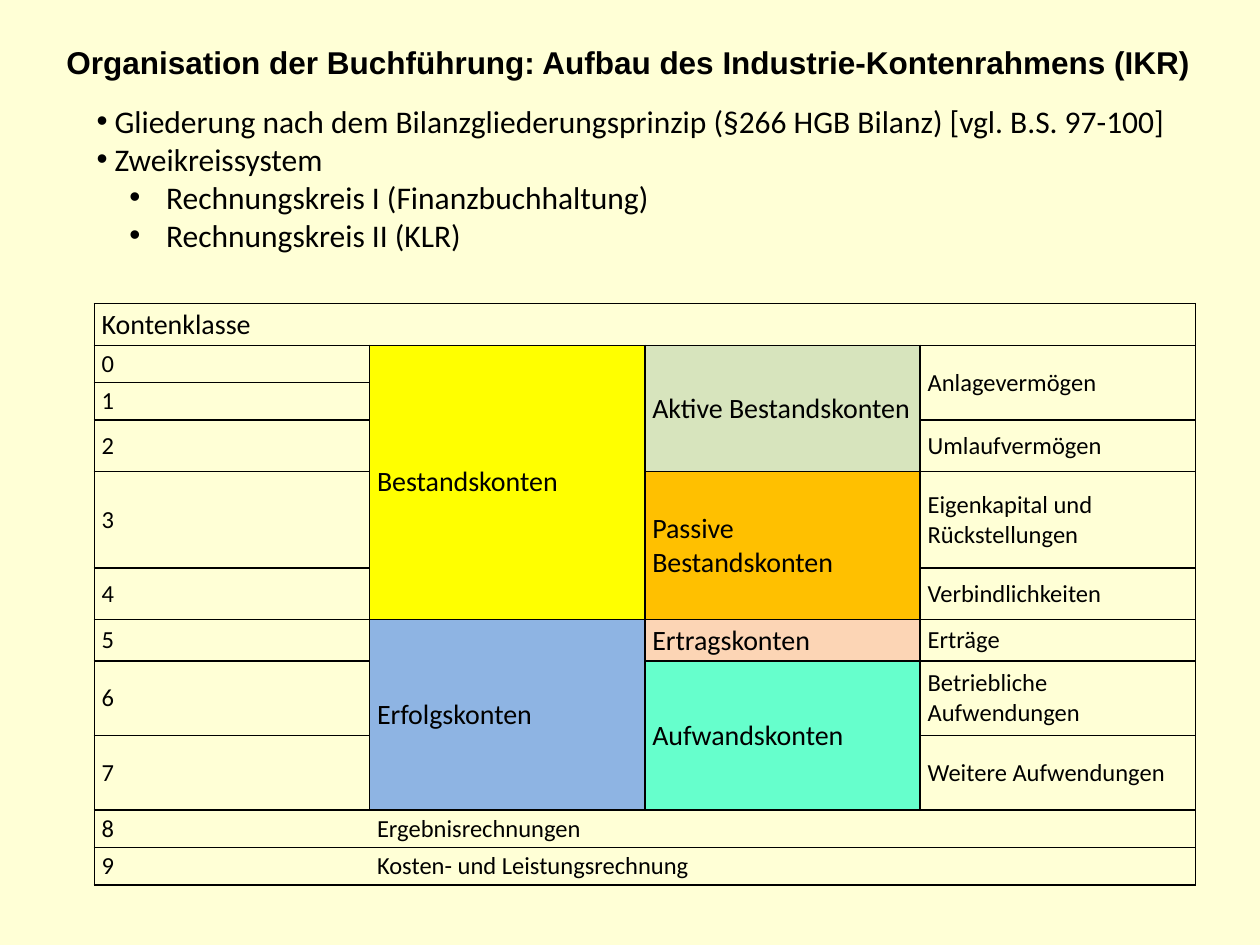
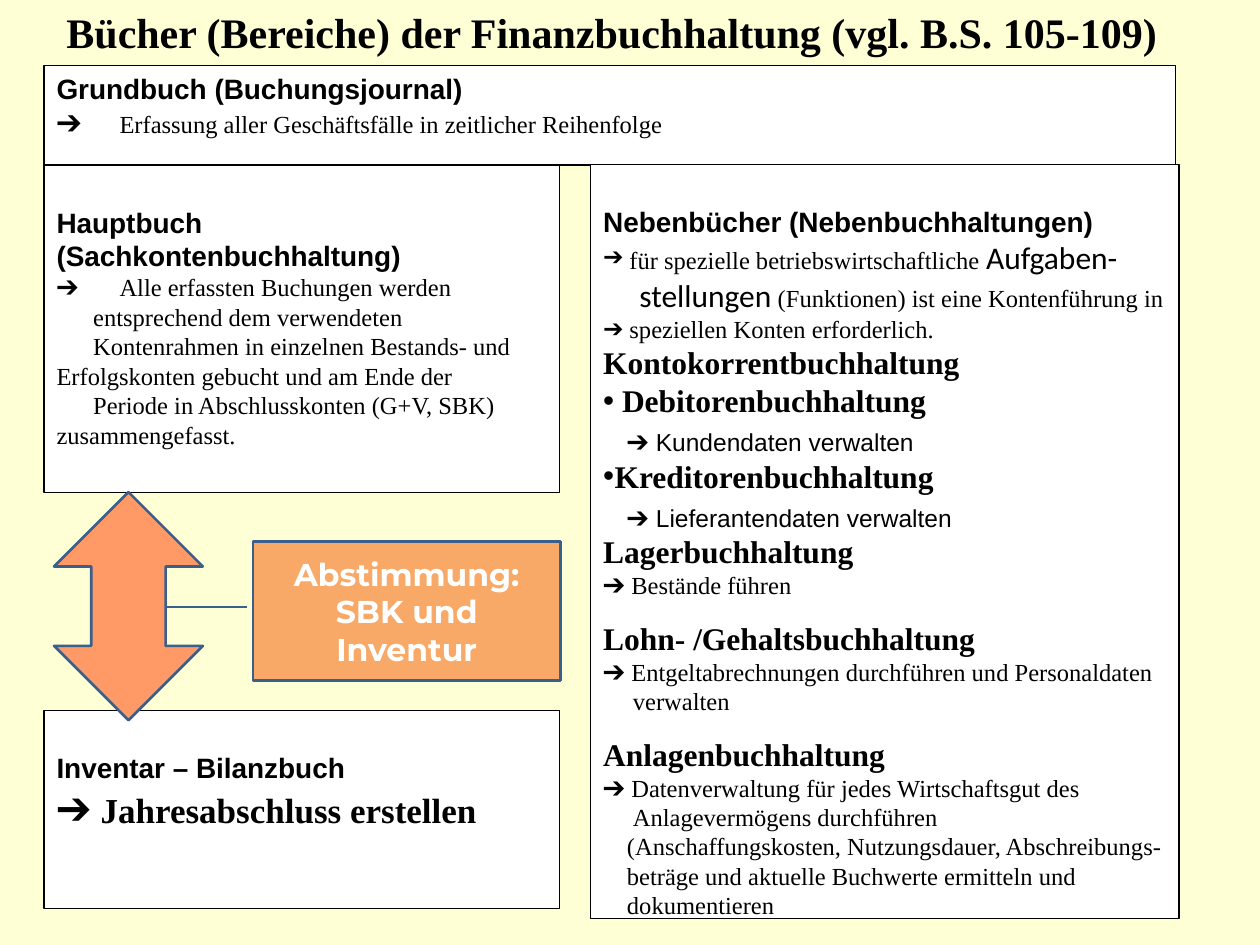
"""Two slides on the chart of accounts and the books of financial accounting."""
import pptx
import pptx.dml.color
import pptx.enum.shapes
import pptx.enum.text
import pptx.oxml.ns
import pptx.util
from lxml import etree

Cm = pptx.util.Cm
Pt = pptx.util.Pt
SHAPE = pptx.enum.shapes.MSO_SHAPE
MIDDLE = pptx.enum.text.MSO_ANCHOR.MIDDLE
CENTER = pptx.enum.text.PP_ALIGN.CENTER
qn = pptx.oxml.ns.qn

INK = {"page": "FFFFD6", "black": "000000", "white": "FFFFFF", "edge": "3A5F8C",
       "arrow": "FF9966", "note": "F8A968", "stock": "FFFF00", "active": "D7E4BD",
       "passive": "FFC000", "result": "8EB4E3", "income": "FCD5B5", "cost": "66FFCC"}
SANS, SERIF, BODY, LABEL = "Arial", "Times New Roman", "Calibri", "Montserrat"


def box(page, at, kind=None, fill="white", edge="black", width=0.75, top=0.13):
    """Add a text box, or a filled shape when a kind is given."""
    place = [Cm(n) for n in at]
    if kind is None:
        item = page.shapes.add_textbox(*place)
    else:
        item = page.shapes.add_shape(kind, *place)
        item.shadow.inherit = False
        item.fill.solid()
        item.fill.fore_color.rgb = pptx.dml.color.RGBColor.from_string(INK[fill])
        item.line.color.rgb = pptx.dml.color.RGBColor.from_string(INK[edge])
        item.line.width = Pt(width)
    frame = item.text_frame
    frame.word_wrap = True
    frame.vertical_anchor = pptx.enum.text.MSO_ANCHOR.TOP
    frame.margin_top = Cm(top)
    return item


def say(frame, runs, left=0, hang=0, mark=None, tab=None, gap=0, ink="black",
        align=pptx.enum.text.PP_ALIGN.LEFT, fixed=True):
    """Add one paragraph made of (text, size, font, bold) runs."""
    para = frame.paragraphs[0]
    if para.runs:
        para = frame.add_paragraph()
    props = para._p.get_or_add_pPr()
    props.set("marL", str(Cm(left)))
    props.set("indent", str(-Cm(hang)))
    if mark:
        etree.SubElement(props, qn("a:buFont"), typeface=SANS)
        etree.SubElement(props, qn("a:buChar"), char=mark)
    else:
        etree.SubElement(props, qn("a:buNone"))
    if tab:
        tabs = etree.SubElement(props, qn("a:tabLst"))
        etree.SubElement(tabs, qn("a:tab"), pos=str(Cm(tab)), algn="l")
    para.alignment = align
    if fixed:
        para.line_spacing = Pt(round(1.2 * max(run[1] for run in runs), 1))
    if gap:
        para.space_before = Pt(gap)
    for text, size, face, bold in runs:
        run = para.add_run()
        run.text = text
        run.font.size = Pt(size)
        run.font.name = face
        run.font.bold = bold
        run.font.color.rgb = pptx.dml.color.RGBColor.from_string(INK[ink])


deck = pptx.Presentation()
deck.slide_width, deck.slide_height = Cm(25.4), Cm(19.05)
pages = [deck.slides.add_slide(deck.slide_layouts[6]) for _ in range(2)]
for page in pages:
    page.background.fill.solid()
    page.background.fill.fore_color.rgb = pptx.dml.color.RGBColor.from_string(INK["page"])
plan, books = pages

points = box(plan, (1.7, 1.93, 22.2, 4)).text_frame
for text, left, hang in [
        ("Gliederung nach dem Bilanzgliederungsprinzip (§266 HGB Bilanz) [vgl. B.S. 97-100]", 0.36, 0.36),
        ("Zweikreissystem", 0.36, 0.36),
        ("Rechnungskreis I (Finanzbuchhaltung)", 1.4, 0.74),
        ("Rechnungskreis II (KLR)", 1.4, 0.74)]:
    say(points, [(text, 18, BODY, False)], left, hang, "•")

rows = [0.84, 0.75, 0.75, 1.04, 1.94, 1.04, 0.84, 1.5, 1.5, 0.75, 0.75]
grid = plan.shapes.add_table(len(rows), 4, Cm(1.9), Cm(6.12), Cm(22.2), Cm(sum(rows))).table
grid.first_row = grid.horz_banding = False
for row, high in zip(grid.rows, rows):
    row.height = Cm(high)
for col in grid.columns:
    col.width = Cm(5.55)

cells = [(0, 0, 1, 4, "Kontenklasse", 16, None)]
cells += [(n + 1, 0, 1, 1, str(n), 14, None) for n in range(10)]
cells += [
    (1, 1, 5, 1, "Bestandskonten", 16, "stock"),
    (6, 1, 3, 1, "Erfolgskonten", 16, "result"),
    (1, 2, 3, 1, "Aktive Bestandskonten", 16, "active"),
    (4, 2, 2, 1, "Passive Bestandskonten", 16, "passive"),
    (6, 2, 1, 1, "Ertragskonten", 16, "income"),
    (7, 2, 2, 1, "Aufwandskonten", 16, "cost"),
    (1, 3, 2, 1, "Anlagevermögen", 14, None),
    (3, 3, 1, 1, "Umlaufvermögen", 14, None),
    (4, 3, 1, 1, "Eigenkapital und Rückstellungen", 14, None),
    (5, 3, 1, 1, "Verbindlichkeiten", 14, None),
    (6, 3, 1, 1, "Erträge", 14, None),
    (7, 3, 1, 1, "Betriebliche Aufwendungen", 14, None),
    (8, 3, 1, 1, "Weitere Aufwendungen", 14, None),
    (9, 1, 1, 3, "Ergebnisrechnungen", 14, None),
    (10, 1, 1, 3, "Kosten- und Leistungsrechnung", 14, None)]

for r in range(len(rows)):
    for c in range(4):
        cell = grid.cell(r, c)
        props = cell._tc.get_or_add_tcPr()
        for side in "LRTB":
            line = etree.SubElement(props, qn("a:ln" + side), w=str(Pt(1)))
            if r > 8 and (c, side) in [(0, "R"), (1, "L")]:
                etree.SubElement(line, qn("a:noFill"))
            else:
                paint = etree.SubElement(line, qn("a:solidFill"))
                etree.SubElement(paint, qn("a:srgbClr"), val=INK["black"])
        cell.fill.background()
        cell.vertical_anchor = MIDDLE
        cell.margin_left = cell.margin_right = Cm(0.15)
        cell.margin_top = cell.margin_bottom = Cm(0.08)

for r, c, down, wide, text, size, fill in cells:
    cell = grid.cell(r, c)
    if down * wide > 1:
        cell.merge(grid.cell(r + down - 1, c + wide - 1))
    if fill:
        cell.fill.solid()
        cell.fill.fore_color.rgb = pptx.dml.color.RGBColor.from_string(INK[fill])
    say(cell.text_frame, [(text, size, BODY, False)], fixed=False)

stock = box(books, (0.89, 14.33, 10.39, 3.99), SHAPE.RECTANGLE, top=0.81).text_frame
say(stock, [("Inventar – Bilanzbuch", 16, SANS, True)])
say(stock, [("➔ ", 22, SERIF, True), ("Jahresabschluss erstellen", 20, SERIF, True)])

daily = box(books, (0.89, 1.32, 22.81, 2.01), SHAPE.RECTANGLE).text_frame
say(daily, [("Grundbuch (Buchungsjournal)", 16, SANS, True)])
say(daily, [("➔\t", 16, SERIF, False),
            ("Erfassung aller Geschäftsfälle in zeitlicher Reihenfolge", 14, SERIF, False)], tab=2.54)

main = box(books, (0.89, 3.33, 10.39, 6.6), SHAPE.RECTANGLE, top=0.81).text_frame
say(main, [("Hauptbuch (Sachkontenbuchhaltung)", 16, SANS, True)])
for text, left in [("➔\tAlle erfassten Buchungen werden", 0),
                   ("entsprechend dem verwendeten", 0.74),
                   ("Kontenrahmen in einzelnen Bestands- und", 0.74),
                   ("Erfolgskonten gebucht und am Ende der", 0),
                   ("Periode in Abschlusskonten (G+V, SBK)", 0.74),
                   ("zusammengefasst.", 0)]:
    say(main, [(text, 14, SERIF, False)], left, tab=2.54)

side = box(books, (11.91, 3.32, 11.86, 15.2), SHAPE.RECTANGLE, top=0.81).text_frame
say(side, [("Nebenbücher (Nebenbuchhaltungen)", 16, SANS, True)])
say(side, [("für spezielle betriebswirtschaftliche ", 14, SERIF, False),
           ("Aufgaben-", 18, BODY, False)], 0.53, 0.53, "➔")
say(side, [("stellungen", 18, BODY, False),
           (" (Funktionen) ist eine Kontenführung in", 14, SERIF, False)], 0.73)
say(side, [("speziellen Konten erforderlich.", 14, SERIF, False)], 0.53, 0.53, "➔")
say(side, [("Kontokorrentbuchhaltung", 18, SERIF, True)])
for head, data, hang in [("Debitorenbuchhaltung", "Kundendaten", 0.38),
                         ("Kreditorenbuchhaltung", "Lieferantendaten", 0.23)]:
    say(side, [(head, 18, SERIF, True)], hang, hang, "•")
    say(side, [("➔", 14, SERIF, False), (f" {data} verwalten", 14, SANS, False)], 0.48)
    side.paragraphs[-1].line_spacing = Pt(21.6)
for head, gap, lines in [
        ("Lagerbuchhaltung", 0, [("➔ Bestände führen", 0)]),
        ("Lohn- /Gehaltsbuchhaltung", 11, [
            ("➔ Entgeltabrechnungen durchführen und Personaldaten", 0),
            ("verwalten", 0.6)]),
        ("Anlagenbuchhaltung", 11, [
            ("➔ Datenverwaltung für jedes Wirtschaftsgut des", 0),
            ("Anlagevermögens durchführen", 0.6),
            ("(Anschaffungskosten, Nutzungsdauer, Abschreibungs-", 0.48),
            ("beträge und aktuelle Buchwerte ermitteln und", 0.48),
            ("dokumentieren", 0.48)])]:
    say(side, [(head, 18, SERIF, True)], gap=gap)
    for text, left in lines:
        say(side, [(text, 14, SERIF, False)], left)

for page, at, text, size, face in [
        (plan, (1.09, 0.74, 23.6, 1.02),
         "Organisation der Buchführung: Aufbau des Industrie-Kontenrahmens (IKR)", 18, SANS),
        (books, (1.09, 0, 24.31, 1.27),
         "Bücher (Bereiche) der Finanzbuchhaltung (vgl. B.S. 105-109)", 24, SERIF)]:
    title = box(page, at).text_frame
    title.vertical_anchor = MIDDLE
    say(title, [(text, size, face, True)])

box(books, (1.09, 9.92, 3, 4.6), SHAPE.UP_DOWN_ARROW, "arrow", "edge", 1.5)
note = box(books, (5.1, 10.92, 6.2, 2.8), SHAPE.LINE_CALLOUT_1, "note", "edge", 1.5)
for n, share in enumerate([0.47, -0.02, 0.47, -0.28]):
    note.adjustments[n] = share
note.text_frame.vertical_anchor = MIDDLE
for text in ["Abstimmung:", "SBK und Inventur"]:
    say(note.text_frame, [(text, 18, LABEL, True)], ink="white", align=CENTER)

deck.save("out.pptx")
